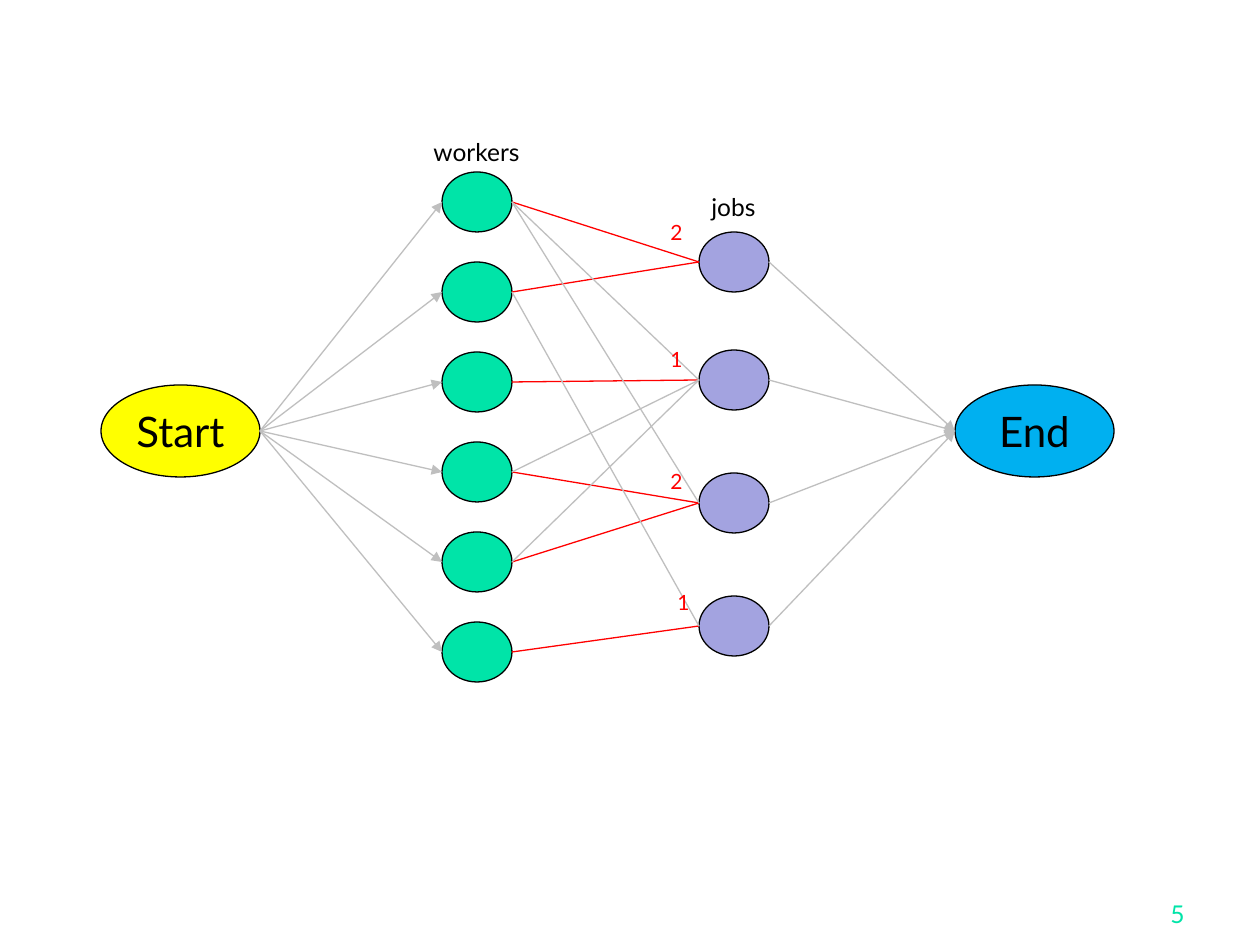
"""Draw a worker-to-job matching as a flow network."""
from dataclasses import dataclass

from lxml.etree import SubElement
from pptx import Presentation
from pptx.dml.color import RGBColor
from pptx.enum.shapes import MSO_CONNECTOR as Connector, MSO_SHAPE as Shape
from pptx.enum.text import MSO_ANCHOR as Anchor, MSO_AUTO_SIZE as AutoSize, PP_ALIGN as Align
from pptx.oxml.ns import qn
from pptx.util import Emu, Pt

PX = 914400 / 126


@dataclass(frozen=True)
class Theme:
    font: str = "Lato"
    ink: str = "000000"
    worker: str = "00E4A8"
    job: str = "A3A3E0"
    source: str = "FFFF00"
    sink: str = "00B0F0"
    edge: str = "BFBFBF"
    match: str = "FF0000"
    terminal_size: int = 24
    label_size: int = 14
    flow_size: int = 12
    stroke: float = 0.75


def px(*lengths):
    return [Emu(round(length * PX)) for length in lengths]


def write(frame, text, *, font, size, color, align=Align.LEFT, anchor=Anchor.TOP, wrap=False):
    frame.word_wrap = wrap
    frame.vertical_anchor = anchor
    paragraph = frame.paragraphs[0]
    paragraph.alignment = align
    run = paragraph.add_run()
    run.text = text
    run.font.name = font
    run.font.size = Pt(size)
    run.font.color.rgb = RGBColor.from_string(color)


class NetworkSlide:
    def __init__(self, slide, theme):
        self.slide = slide
        self.theme = theme

    def node(self, kind, left, top, width, height, fill, text=""):
        oval = self.slide.shapes.add_shape(kind, *px(left, top, width, height))
        oval.shadow.inherit = False
        oval.fill.solid()
        oval.fill.fore_color.rgb = RGBColor.from_string(fill)
        oval.line.color.rgb = RGBColor.from_string(self.theme.ink)
        oval.line.width = Pt(self.theme.stroke)
        if text:
            write(oval.text_frame, text, font=self.theme.font, size=self.theme.terminal_size,
                  color=self.theme.ink, align=Align.CENTER, anchor=Anchor.MIDDLE)

    def edge(self, start, end, color, arrow=False):
        link = self.slide.shapes.add_connector(Connector.STRAIGHT, *px(*start, *end))
        link.line.color.rgb = RGBColor.from_string(color)
        link.line.width = Pt(self.theme.stroke)
        if arrow:
            SubElement(link.line._get_or_add_ln(), qn("a:tailEnd"), type="triangle")
        SubElement(link._element.spPr, qn("a:effectLst"))

    def label(self, text, left, top, width, height, **style):
        box = self.slide.shapes.add_textbox(*px(left, top, width, height))
        if not style.get("wrap"):
            box.text_frame.auto_size = AutoSize.SHAPE_TO_FIT_TEXT
        write(box.text_frame, text, font=self.theme.font, **style)


def main():
    deck = Presentation()
    deck.slide_width, deck.slide_height = px(1260, 945)
    theme = Theme()
    network = NetworkSlide(deck.slides.add_slide(deck.slide_layouts[6]), theme)

    network.label("5", 935, 872, 262, 63, size=theme.label_size, color=theme.worker,
                  align=Align.RIGHT, anchor=Anchor.BOTTOM, wrap=True)

    node_width, node_height = 70, 60
    worker_left, job_left = 442, 699
    worker_tops = [172 + 90 * row for row in range(6)]
    job_tops = [232, 350, 473, 596]
    for left, tops, fill in ((worker_left, worker_tops, theme.worker),
                             (job_left, job_tops, theme.job)):
        for top in tops:
            network.node(Shape.FLOWCHART_CONNECTOR, left, top, node_width, node_height, fill)

    terminal_top, terminal_width, terminal_height = 385, 159, 92
    start_left, end_left = 101, 955
    for name, left, fill in (("Start", start_left, theme.source), ("End", end_left, theme.sink)):
        network.node(Shape.OVAL, left, terminal_top, terminal_width, terminal_height, fill, name)

    worker_mids = [top + node_height // 2 for top in worker_tops]
    job_mids = [top + node_height // 2 for top in job_tops]
    terminal_mid = terminal_top + terminal_height // 2
    for mid in worker_mids:
        network.edge((start_left + terminal_width, terminal_mid), (worker_left, mid),
                     theme.edge, arrow=True)
    for mid in job_mids:
        network.edge((job_left + node_width, mid), (end_left, terminal_mid),
                     theme.edge, arrow=True)

    network.label("workers", 421, 131, 118, 43, size=theme.label_size, color=theme.ink)
    network.label("jobs", 699, 186, 73, 43, size=theme.label_size, color=theme.ink)

    matched = [(0, 0), (1, 0), (2, 1), (5, 3), (4, 2), (3, 2)]
    unmatched = [(0, 1), (0, 2), (1, 3), (3, 1), (4, 1)]
    for pairs, color in ((matched, theme.match), (unmatched, theme.edge)):
        for worker, job in pairs:
            network.edge((worker_left + node_width, worker_mids[worker]),
                         (job_left, job_mids[job]), color)

    for flow, left, top in (("2", 658, 213), ("1", 658, 340), ("2", 658, 462), ("1", 665, 583)):
        network.label(flow, left, top, 37, 38, size=theme.flow_size, color=theme.match)

    deck.save("out.pptx")


if __name__ == "__main__":
    main()
